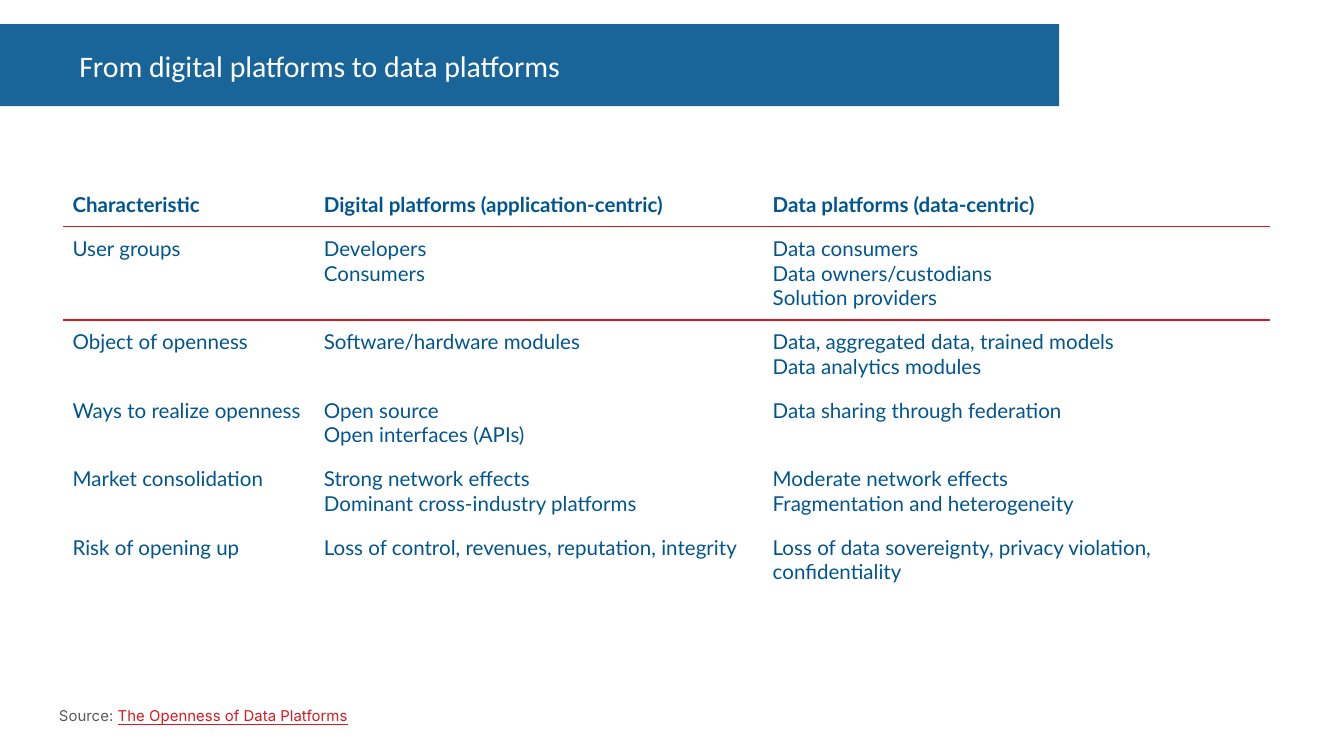
from dataclasses import dataclass

from lxml import etree
from pptx import Presentation
from pptx.dml.color import RGBColor
from pptx.enum.text import MSO_ANCHOR, MSO_AUTO_SIZE, PP_ALIGN
from pptx.oxml.ns import qn
from pptx.util import Inches, Pt

LEFT = PP_ALIGN.LEFT
TOP, MIDDLE = MSO_ANCHOR.TOP, MSO_ANCHOR.MIDDLE
FIXED = MSO_AUTO_SIZE.NONE
TITLE_ONLY = 5
NO_GRID = "{2D5ABB26-0587-4C30-8999-92F81FD0307C}"


@dataclass(frozen=True)
class Theme:
    blue: str = "00558F"
    red: str = "D71920"
    grey: str = "595959"
    white: str = "FFFFFF"
    head: tuple = ("Calibri", 16)
    body: tuple = ("Lato", 11)
    note: tuple = ("Inter", 8)


THEME = Theme()
WIDTH = 10
HEIGHT = WIDTH * 9 / 16
COLS = (1.87, 3.34, 3.77)
LINE, PAD = 0.18, 0.07
ROWS = (
    (("Characteristic",), ("Digital platforms (application-centric)",),
     ("Data platforms (data-centric)",)),
    (("User groups",), ("Developers", "Consumers"),
     ("Data consumers", "Data owners/custodians", "Solution providers")),
    (("Object of openness",), ("Software/hardware modules",),
     ("Data, aggregated data, trained models", "Data analytics modules")),
    (("Ways to realize openness",), ("Open source", "Open interfaces (APIs)"),
     ("Data sharing through federation",)),
    (("Market consolidation",),
     ("Strong network effects", "Dominant cross-industry platforms"),
     ("Moderate network effects", "Fragmentation and heterogeneity")),
    (("Risk of opening up",),
     ("Loss of control, revenues, reputation, integrity",),
     ("Loss of data sovereignty, privacy violation, confidentiality",)),
)


def place(shape, left, top, width, height):
    shape.left, shape.top = Inches(left), Inches(top)
    shape.width, shape.height = Inches(width), Inches(height)


def inset(frame, left, top, right, bottom):
    frame.margin_left, frame.margin_top = Inches(left), Inches(top)
    frame.margin_right, frame.margin_bottom = Inches(right), Inches(bottom)


def add_run(para, text, face, color, bold=False, under=False):
    run = para.add_run()
    run.text = text
    font = run.font
    font.name, font.size = face[0], Pt(face[1])
    font.bold, font.underline = bold, under
    font.color.rgb = RGBColor.from_string(color)


def add_title(slide, text):
    title = slide.shapes.title
    place(title, 0, 0.18, 7.88, 0.61)
    title.fill.solid()
    title.fill.fore_color.rgb = RGBColor.from_string(THEME.blue)
    color = title.fill._xPr.find(qn("a:solidFill"))[0]
    etree.SubElement(color, qn("a:alpha"), val="90000")
    frame = title.text_frame
    frame.auto_size, frame.word_wrap = FIXED, True
    frame.vertical_anchor = MIDDLE
    inset(frame, 0.59, 0.05, 0.1, 0.05)
    para = frame.paragraphs[0]
    para.alignment = LEFT
    add_run(para, text, THEME.head, THEME.white)


def add_rule(cell, side):
    """Draw a red border on one side of a cell, before its fill is set."""
    props = cell._tc.get_or_add_tcPr()
    line = etree.SubElement(props, qn(f"a:ln{side}"), w=str(Pt(1)))
    fill = etree.SubElement(line, qn("a:solidFill"))
    etree.SubElement(fill, qn("a:srgbClr"), val=THEME.red)
    etree.SubElement(line, qn("a:prstDash"), val="solid")


def fill_cell(cell, lines, row):
    inset(cell, PAD, PAD, PAD, PAD)
    cell.vertical_anchor = TOP
    if row < 2:
        add_rule(cell, "BT"[row])
    if row % 2:
        cell.fill.solid()
        cell.fill.fore_color.rgb = RGBColor.from_string(THEME.white)
    else:
        cell.fill.background()
    frame = cell.text_frame
    for i, text in enumerate(lines):
        para = frame.add_paragraph() if i else frame.paragraphs[0]
        add_run(para, text, THEME.body, THEME.blue, bold=row == 0)


def add_grid(slide):
    # The last row wraps to two lines in its final cell.
    counts = [max(map(len, row)) for row in ROWS[:-1]] + [2]
    tall = [2 * PAD + LINE * n for n in counts]
    frame = slide.shapes.add_table(
        len(ROWS), len(COLS), Inches(0.47), Inches(1.36),
        Inches(sum(COLS)), Inches(sum(tall)))
    table = frame.table
    table.first_row = table.horz_banding = False
    table._tbl.tblPr.find(qn("a:tableStyleId")).text = NO_GRID
    for col, width in zip(table.columns, COLS):
        col.width = Inches(width)
    for r, row in enumerate(ROWS):
        table.rows[r].height = Inches(tall[r])
        for c, lines in enumerate(row):
            fill_cell(table.cell(r, c), lines, r)


def add_source(slide, label, work):
    box = slide.shapes.add_textbox(
        Inches(0.34), Inches(5.09), Inches(9.32), Inches(0.29))
    frame = box.text_frame
    frame.word_wrap = True
    inset(frame, 0.1, 0.1, 0.1, 0.1)
    para = frame.paragraphs[0]
    para.line_spacing, para.space_after = 1.5, Pt(16)
    add_run(para, label, THEME.note, THEME.grey)
    add_run(para, work, THEME.note, THEME.red, under=True)


def main():
    deck = Presentation()
    deck.slide_width, deck.slide_height = Inches(WIDTH), Inches(HEIGHT)
    slide = deck.slides.add_slide(deck.slide_layouts[TITLE_ONLY])
    add_title(slide, "From digital platforms to data platforms")
    add_grid(slide)
    add_source(slide, "Source: ", "The Openness of Data Platforms")
    deck.save("out.pptx")


if __name__ == "__main__":
    main()
